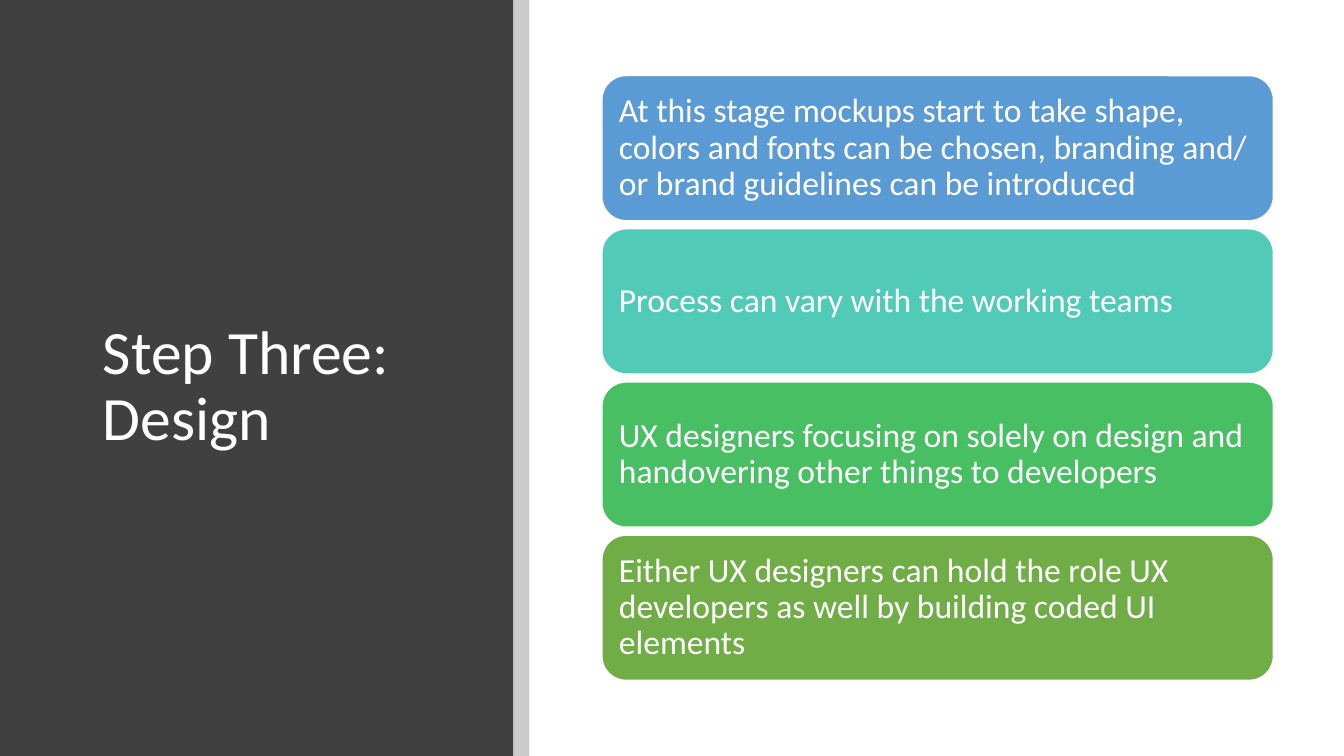
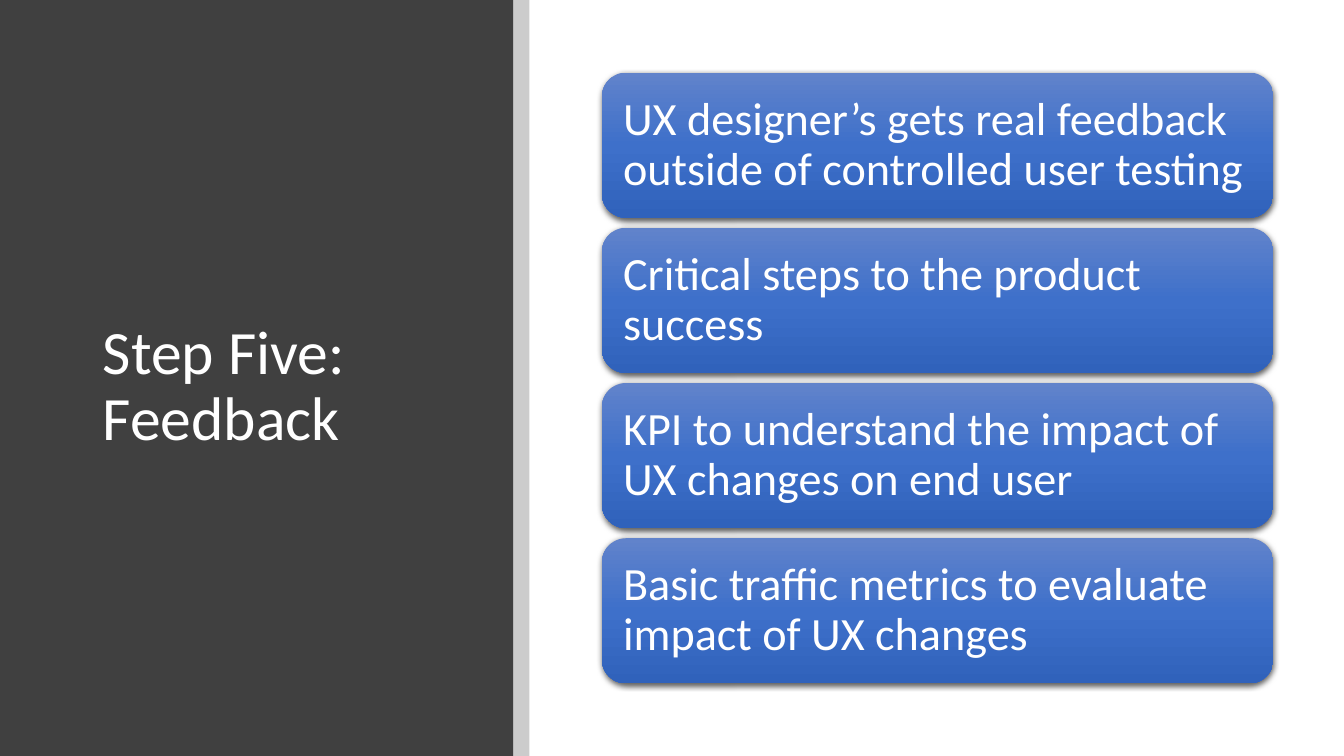
from copy import deepcopy

from pptx import Presentation
from pptx.dml.color import RGBColor
from pptx.enum import shapes, text
from pptx.oxml import parse_xml
from pptx.oxml.ns import nsdecls, qn
from pptx.util import Inches, Pt

HUES = {
    "white": "FFFFFF", "panel": "404040", "band": "000000",
    "blue": "5B9BD5", "teal": "52CAB8", "green": "49BF64", "olive": "70AD47",
    "top": "6183CB", "mid": "3E70CA", "low": "3062BB",
}
FONT = "Calibri"

# Content: each card list has one top, pitch, text size and inset
SLIDES = [
    {
        "title": "Step Three: Design",
        "top": 0.75, "pitch": 1.52, "size": 24, "inset": 0.1,
        "fills": ["blue", "teal", "green", "olive"],
        "cards": [
            "At this stage mockups start to take shape, colors and fonts "
            "can be chosen, branding and/ or brand guidelines can be introduced",
            "Process can vary with the working teams",
            "UX designers focusing on solely on design and handovering "
            "other things to developers",
            "Either UX designers can hold the role UX developers as well "
            "by building coded UI elements",
        ],
    },
    {
        "title": "Step Five: Feedback",
        "top": 0.72, "pitch": 1.54, "size": 33, "inset": 0.14,
        "fills": [("top", "mid", "low")] * 4,
        "cards": [
            "UX designer’s gets real feedback outside of controlled user testing",
            "Critical steps to the product success",
            "KPI to understand the impact of UX changes on end user",
            "Basic traffic metrics to evaluate impact of UX changes",
        ],
    },
]
LEFT, WIDTH, HEIGHT = 5.97, 6.66, 1.44


def tint(name):
    return RGBColor.from_string(HUES[name])


def place(shape, x, y, w, h):
    shape.left, shape.top, shape.width, shape.height = map(Inches, (x, y, w, h))


def style(frame, size):
    frame.word_wrap = True
    frame.auto_size = text.MSO_AUTO_SIZE.NONE
    frame.vertical_anchor = text.MSO_ANCHOR.MIDDLE
    for para in frame.paragraphs:
        para.alignment = text.PP_ALIGN.LEFT
        para.line_spacing = 0.9
        for run in para.runs:
            font = run.font
            font.name, font.size = FONT, Pt(size)
            font.color.rgb = tint("white")


def add_rect(slide, kind, x, y, w, h, hue):
    rect = slide.shapes.add_shape(kind, *map(Inches, (x, y, w, h)))
    rect.shadow.inherit = False
    rect.fill.solid()
    rect.fill.fore_color.rgb = tint(hue)
    rect.line.fill.background()
    return rect


def shade(card, names):
    """Vertical gradient with a soft shadow below."""
    card.fill.gradient()
    card.fill.gradient_angle = 270
    props = card._element.spPr
    stops = props.find(".//" + qn("a:gsLst"))
    stops.append(deepcopy(stops[-1]))
    for i, (stop, name) in enumerate(zip(card.fill.gradient_stops, names)):
        stop.position = i / (len(names) - 1)
        stop.color.rgb = tint(name)
    props.find(qn("a:effectLst")).append(parse_xml(
        f'<a:outerShdw {nsdecls("a")} blurRad="{Pt(4.5)}" dist="{Pt(1.5)}" '
        'dir="5400000" algn="ctr" rotWithShape="0"><a:srgbClr val="000000">'
        '<a:alpha val="63000"/></a:srgbClr></a:outerShdw>'))


def add_card(slide, words, fill, y, size, inset):
    flat = isinstance(fill, str)
    card = add_rect(slide, shapes.MSO_SHAPE.ROUNDED_RECTANGLE,
                    LEFT, y, WIDTH, HEIGHT, fill if flat else fill[0])
    if flat:
        card.line.color.rgb = tint("white")
        card.line.width = Pt(1)
    else:
        shade(card, fill)
    frame = card.text_frame
    frame.text = words
    frame.margin_left = frame.margin_right = Inches(inset)
    frame.margin_top = frame.margin_bottom = Inches(inset)
    style(frame, size)


def set_layout(layout, slide):
    """Move the side panel and band into the layout, behind its title."""
    kind = shapes.MSO_SHAPE.RECTANGLE
    panel = add_rect(slide, kind, 0, 0, 5.09, 7.5, "panel")
    band = add_rect(slide, kind, 5.09, 0, 0.16, 7.5, "band")
    color = band._element.spPr.find(".//" + qn("a:srgbClr"))
    color.append(parse_xml(f'<a:alpha {nsdecls("a")} val="20000"/>'))
    for part in (band, panel):
        layout.shapes._spTree.insert(2, part._element)
    place(layout.placeholders[0], 0.92, 0.89, 3.65, 5.91)


def main():
    deck = Presentation()
    deck.slide_width, deck.slide_height = Inches(13.33), Inches(7.5)
    layout = deck.slide_layouts[5]
    for n, data in enumerate(SLIDES):
        slide = deck.slides.add_slide(layout)
        if n == 0:
            set_layout(layout, slide)
        title = slide.shapes.title
        title.text_frame.text = data["title"]
        style(title.text_frame, 44)
        for i, (words, fill) in enumerate(zip(data["cards"], data["fills"])):
            y = data["top"] + i * data["pitch"]
            add_card(slide, words, fill, y, data["size"], data["inset"])
    deck.save("out.pptx")


if __name__ == "__main__":
    main()
